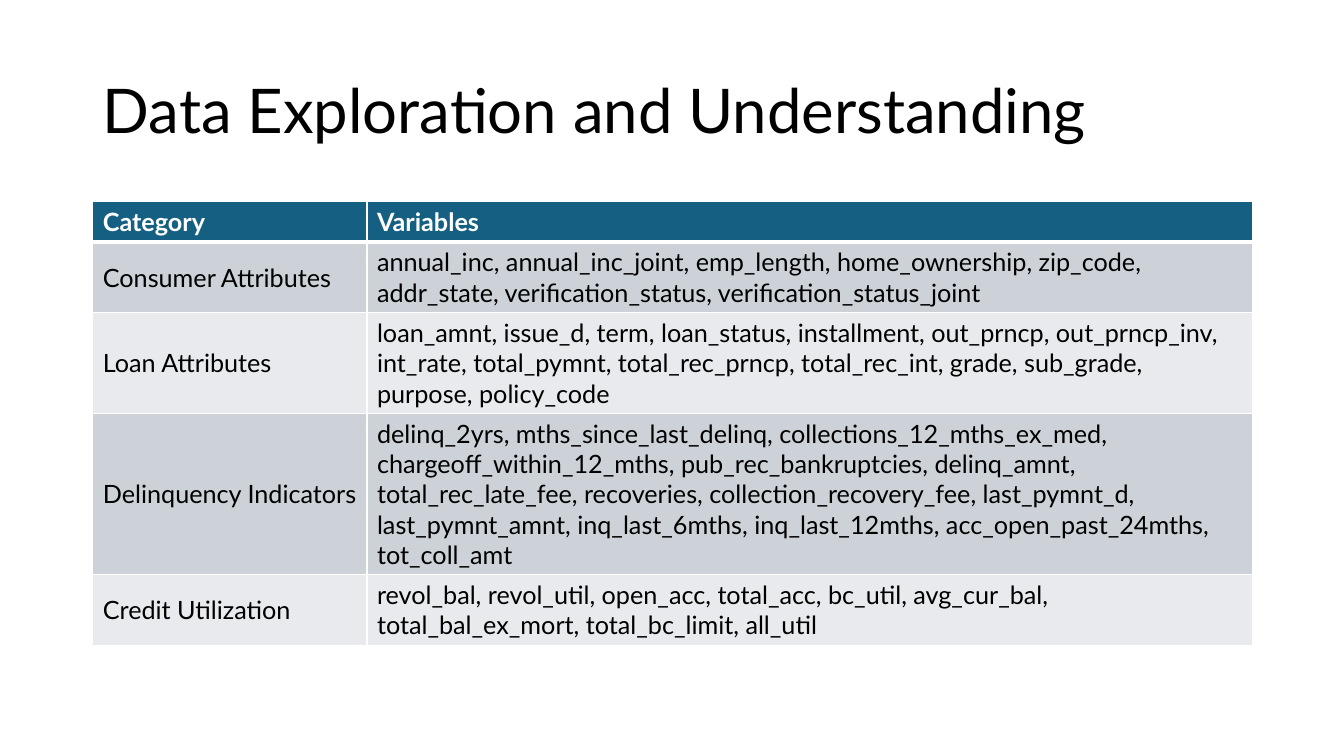
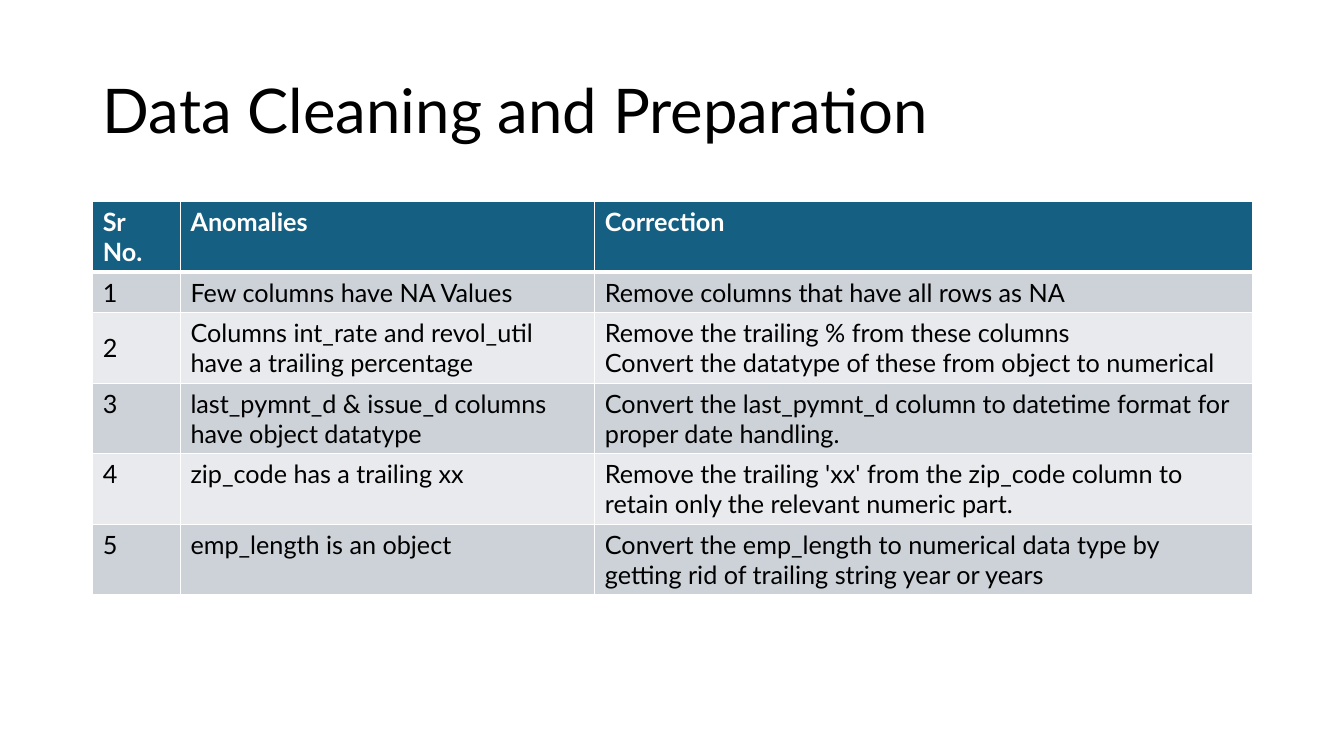
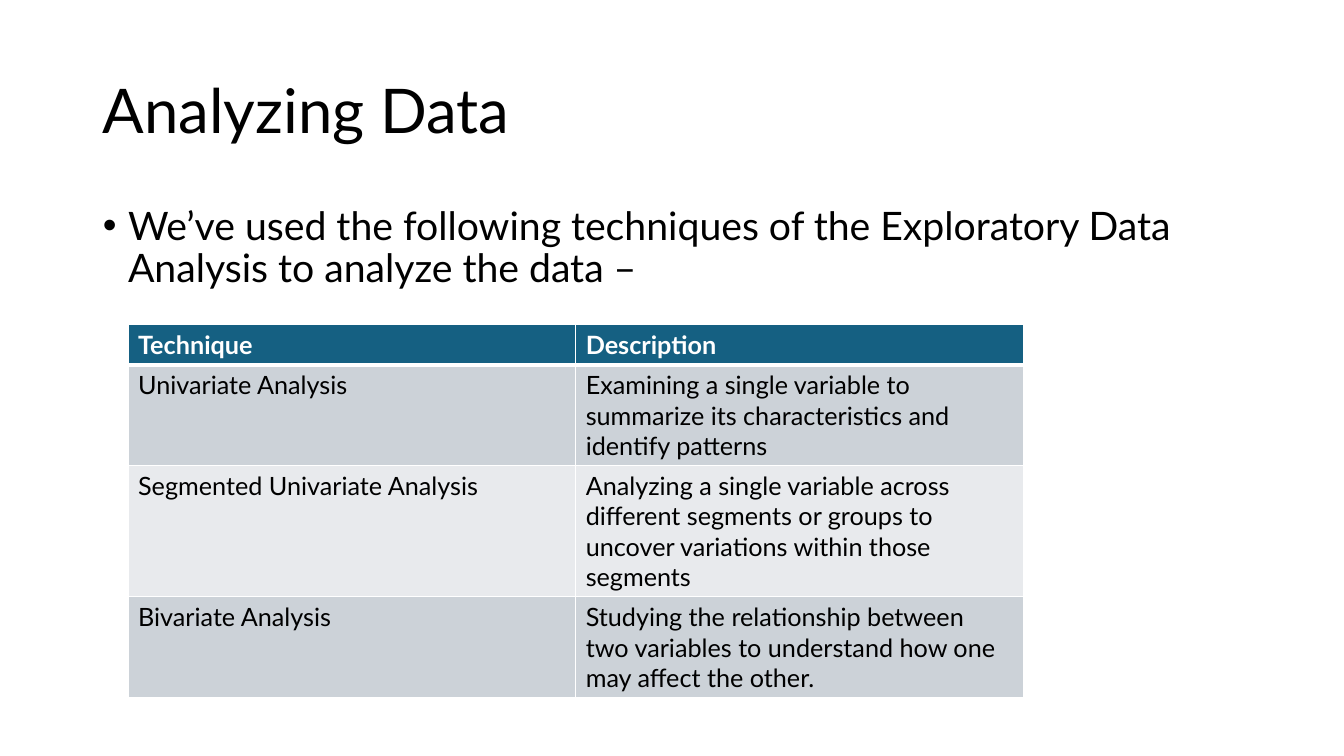
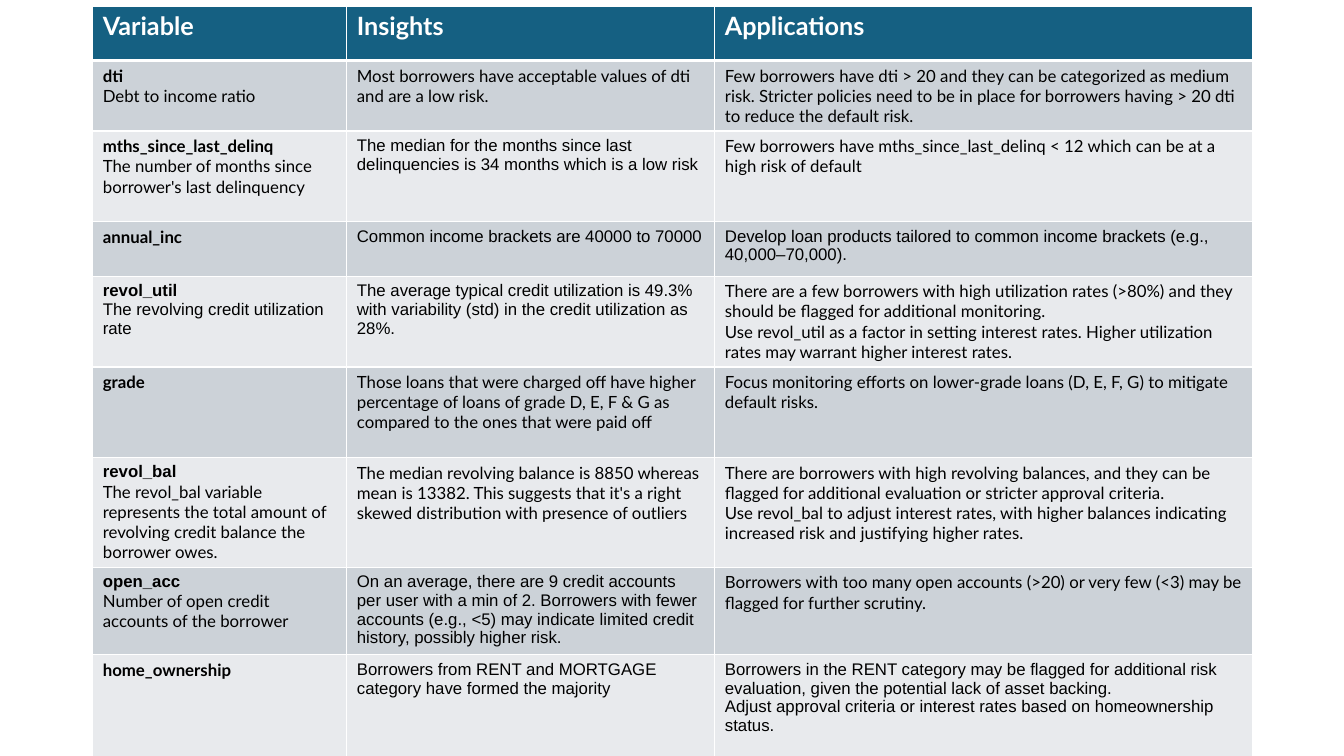
import itertools

import lxml.etree
import pptx
import pptx.dml.color
import pptx.enum.text
import pptx.oxml.ns
import pptx.util

Inches = pptx.util.Inches
Pt = pptx.util.Pt
qn = pptx.oxml.ns.qn

FONT = "Lato"
BLACK, WHITE, HEADER = "000000", "FFFFFF", "156082"
BANDS = ("CCD2D8", "E8EAED")
TITLE_BOX = (0.92, 0.4, 11.5, 1.45)
BODY_BOX = (0.92, 2, 11.5, 4.76)
TITLE_AND_BODY, TITLE_ONLY, BLANK = 1, 5, 6

EXPLORATION = [
    ["Category", "Variables"],
    ["Consumer Attributes",
     "annual_inc, annual_inc_joint, emp_length, home_ownership, zip_code, addr_state, "
     "verification_status, verification_status_joint"],
    ["Loan Attributes",
     "loan_amnt, issue_d, term, loan_status, installment, out_prncp, out_prncp_inv, int_rate, "
     "total_pymnt, total_rec_prncp, total_rec_int, grade, sub_grade, purpose, policy_code"],
    ["Delinquency Indicators",
     "delinq_2yrs, mths_since_last_delinq, collections_12_mths_ex_med, "
     "chargeoff_within_12_mths, pub_rec_bankruptcies, delinq_amnt,\n"
     "total_rec_late_fee, recoveries, collection_recovery_fee, last_pymnt_d, last_pymnt_amnt, "
     "inq_last_6mths, inq_last_12mths, acc_open_past_24mths, tot_coll_amt"],
    ["Credit Utilization",
     "revol_bal, revol_util, open_acc, total_acc, bc_util, avg_cur_bal, total_bal_ex_mort, "
     "total_bc_limit, all_util"],
]

CLEANING = [
    ["Sr No.", "Anomalies", "Correction"],
    ["1", "Few columns have NA Values", "Remove columns that have all rows as NA"],
    ["2", "Columns int_rate and revol_util have a trailing percentage",
     "Remove the trailing % from these columns\n"
     "Convert the datatype of these from object to numerical"],
    ["3", "last_pymnt_d & issue_d columns have object datatype",
     "Convert the last_pymnt_d column to datetime format for proper date handling."],
    ["4", "zip_code has a trailing xx",
     "Remove the trailing 'xx' from the zip_code column to retain only the relevant numeric part."],
    ["5", "emp_length is an object",
     "Convert the emp_length to numerical data type by getting rid of trailing string year or years"],
]

TECHNIQUES = [
    ["Technique", "Description"],
    ["Univariate Analysis",
     "Examining a single variable to summarize its characteristics and identify patterns"],
    ["Segmented Univariate Analysis",
     "Analyzing a single variable across different segments or groups to uncover variations "
     "within those segments"],
    ["Bivariate Analysis",
     "Studying the relationship between two variables to understand how one may affect the other."],
]

INSIGHTS = [
    ["Variable", "Insights", "Applications"],
    ["dti\nDebt to income ratio",
     "Most borrowers have acceptable values of dti and are a low risk.",
     "Few borrowers have dti > 20 and they can be categorized as medium risk. Stricter policies "
     "need to be in place for borrowers having > 20 dti to reduce the default risk."],
    ["mths_since_last_delinq\nThe number of months since borrower's last delinquency",
     "The median for the months since last delinquencies is 34 months which is a low risk",
     "Few borrowers have mths_since_last_delinq < 12 which can be at a high risk of default"],
    ["annual_inc",
     "Common income brackets are 40000 to 70000",
     "Develop loan products tailored to common income brackets (e.g., 40,000–70,000)."],
    ["revol_util\nThe revolving credit utilization rate",
     "The average typical credit utilization is 49.3% with variability (std) in the credit "
     "utilization as 28%.",
     "There are a few borrowers with high utilization rates (>80%) and they should be flagged "
     "for additional monitoring.\n"
     "Use revol_util as a factor in setting interest rates. Higher utilization rates may "
     "warrant higher interest rates."],
    ["grade",
     "Those loans that were charged off have higher percentage of loans of grade D, E, F & G as "
     "compared to the ones that were paid off",
     "Focus monitoring efforts on lower-grade loans (D, E, F, G) to mitigate default risks."],
    ["revol_bal\nThe revol_bal variable represents the total amount of revolving credit balance "
     "the borrower owes.",
     "The median revolving balance is 8850 whereas mean is 13382. This suggests that it's a "
     "right skewed distribution with presence of outliers",
     "There are borrowers with high revolving balances, and they can be flagged for additional "
     "evaluation or stricter approval criteria.\n"
     "Use revol_bal to adjust interest rates, with higher balances indicating increased risk "
     "and justifying higher rates."],
    ["open_acc\nNumber of open credit accounts of the borrower",
     "On an average, there are 9 credit accounts per user with a min of 2. Borrowers with fewer "
     "accounts (e.g., <5) may indicate limited credit history, possibly higher risk.",
     "Borrowers with too many open accounts (>20) or very few (<3) may be flagged for further "
     "scrutiny."],
    ["home_ownership",
     "Borrowers from RENT and MORTGAGE category have formed the majority",
     "Borrowers in the RENT category may be flagged for additional risk evaluation, given the "
     "potential lack of asset backing.\n"
     "Adjust approval criteria or interest rates based on homeownership status."],
]
INSIGHT_HEIGHTS = [0.54, 0.69, 0.9, 0.54, 0.9, 0.9, 1.08, 0.87, 1.02]
ARIAL_PARAGRAPHS = {
    (2, 1, 0), (3, 1, 0), (3, 2, 0), (4, 0, 0), (4, 0, 1), (4, 1, 0), (6, 0, 0),
    (7, 0, 0), (7, 1, 0), (8, 1, 0), (8, 2, 0), (8, 2, 1),
}


def color(value):
    """Turn a hex string into a colour."""
    return pptx.dml.color.RGBColor.from_string(value)


def format_paragraph(paragraph, size, value, bold=False, font=FONT):
    """Format every run of a paragraph."""
    for run in paragraph.runs:
        run.font.name = font
        run.font.size = Pt(size)
        run.font.bold = bold
        run.font.color.rgb = color(value)


def fill_placeholder(shape, box, text, size, anchor):
    """Place a placeholder in a box with left-aligned text and return its paragraph."""
    shape.left, shape.top, shape.width, shape.height = map(Inches, box)
    frame = shape.text_frame
    frame.text = text
    frame.auto_size = pptx.enum.text.MSO_AUTO_SIZE.NONE
    frame.vertical_anchor = anchor
    paragraph = frame.paragraphs[0]
    paragraph.alignment = pptx.enum.text.PP_ALIGN.LEFT
    paragraph.line_spacing = 0.9
    format_paragraph(paragraph, size, BLACK)
    return paragraph


def add_titled_slide(presentation, layout, title):
    """Add a slide with the shared title style."""
    slide = presentation.slides.add_slide(presentation.slide_layouts[layout])
    fill_placeholder(slide.shapes.title, TITLE_BOX, title, 44, pptx.enum.text.MSO_ANCHOR.MIDDLE)
    return slide


def add_bullet(slide, text):
    """Fill the body placeholder with one bullet."""
    paragraph = fill_placeholder(slide.placeholders[1], BODY_BOX, text, 28,
                                 pptx.enum.text.MSO_ANCHOR.TOP)
    paragraph.space_before = Pt(10)
    properties = paragraph._p.get_or_add_pPr()
    properties.set("marL", str(Inches(0.25)))
    properties.set("indent", str(Inches(-0.25)))
    lxml.etree.SubElement(properties, qn("a:buFont")).set("typeface", "Arial")
    lxml.etree.SubElement(properties, qn("a:buChar")).set("char", "•")


def set_borders(cell, top, bottom):
    """Draw white borders round a cell with the given top and bottom widths."""
    properties = cell._tc.get_or_add_tcPr()
    widths = {"a:lnL": 1, "a:lnR": 1, "a:lnT": top, "a:lnB": bottom}
    for position, (tag, width) in enumerate(widths.items()):
        line = lxml.etree.Element(qn(tag), w=str(Pt(width)))
        fill = lxml.etree.SubElement(line, qn("a:solidFill"))
        lxml.etree.SubElement(fill, qn("a:srgbClr")).set("val", WHITE)
        properties.insert(position, line)


def line_heights(*line_counts):
    """Give row heights for 18 point rows with these numbers of lines."""
    return [0.1 + 0.3 * count for count in line_counts]


def add_banded_table(slide, left, top, widths, heights, rows, size=18, bold_lead=False,
                     middle=(), arial=()):
    """Add a table with a dark header and alternating row bands."""
    box = map(Inches, (left, top, sum(widths), sum(heights)))
    table = slide.shapes.add_table(len(rows), len(widths), *box).table
    for column, width in zip(table.columns, widths):
        column.width = Inches(width)
    for row, height in zip(table.rows, heights):
        row.height = Inches(height)
    for row, texts in enumerate(rows):
        header = row == 0
        for column, text in enumerate(texts):
            cell = table.cell(row, column)
            cell.text = text
            cell.fill.solid()
            cell.fill.fore_color.rgb = color(HEADER if header else BANDS[(row - 1) % 2])
            set_borders(cell, 3 if row == 1 else 1, 3 if header else 1)
            if (row, column) in middle:
                cell.vertical_anchor = pptx.enum.text.MSO_ANCHOR.MIDDLE
            for index, paragraph in enumerate(cell.text_frame.paragraphs):
                lead = bold_lead and column == 0 and index == 0
                font = "Arial" if (row, column, index) in arial else FONT
                format_paragraph(paragraph, 18 if header else size,
                                 WHITE if header else BLACK, header or lead, font)


def add_exploration_slide(presentation):
    """Add the slide that groups the variables."""
    slide = add_titled_slide(presentation, TITLE_ONLY, "Data Exploration and Understanding")
    add_banded_table(slide, 0.92, 2, [2.72, 8.78], line_heights(1, 2, 3, 5, 2), EXPLORATION,
                     middle=set(itertools.product(range(1, 5), range(2))))


def add_cleaning_slide(presentation):
    """Add the slide of anomalies and corrections."""
    slide = add_titled_slide(presentation, TITLE_ONLY, "Data Cleaning and Preparation")
    add_banded_table(slide, 0.92, 2, [0.87, 4.11, 6.52], line_heights(2, 1, 2, 2, 2, 2), CLEANING,
                     middle={(1, 0), (1, 1), (1, 2), (2, 0), (2, 1), (3, 2), (4, 2)})


def add_techniques_slide(presentation):
    """Add the slide of analysis techniques."""
    slide = add_titled_slide(presentation, TITLE_AND_BODY, "Analyzing Data")
    add_bullet(slide, "We’ve used the following techniques of the Exploratory Data Analysis "
                      "to analyze the data –")
    add_banded_table(slide, 1.27, 3.22, [4.44, 4.44], line_heights(1, 3, 4, 3), TECHNIQUES)


def add_insights_slide(presentation):
    """Add the full-height slide of insights."""
    slide = presentation.slides.add_slide(presentation.slide_layouts[BLANK])
    add_banded_table(slide, 0.92, 0.06, [2.52, 3.65, 5.33], INSIGHT_HEIGHTS, INSIGHTS,
                     size=12, bold_lead=True, arial=ARIAL_PARAGRAPHS)


def main():
    """Build and save the presentation."""
    presentation = pptx.Presentation()
    presentation.slide_width = Inches(13.33)
    presentation.slide_height = Inches(7.5)
    add_exploration_slide(presentation)
    add_cleaning_slide(presentation)
    add_techniques_slide(presentation)
    add_insights_slide(presentation)
    presentation.save("out.pptx")


if __name__ == "__main__":
    main()
